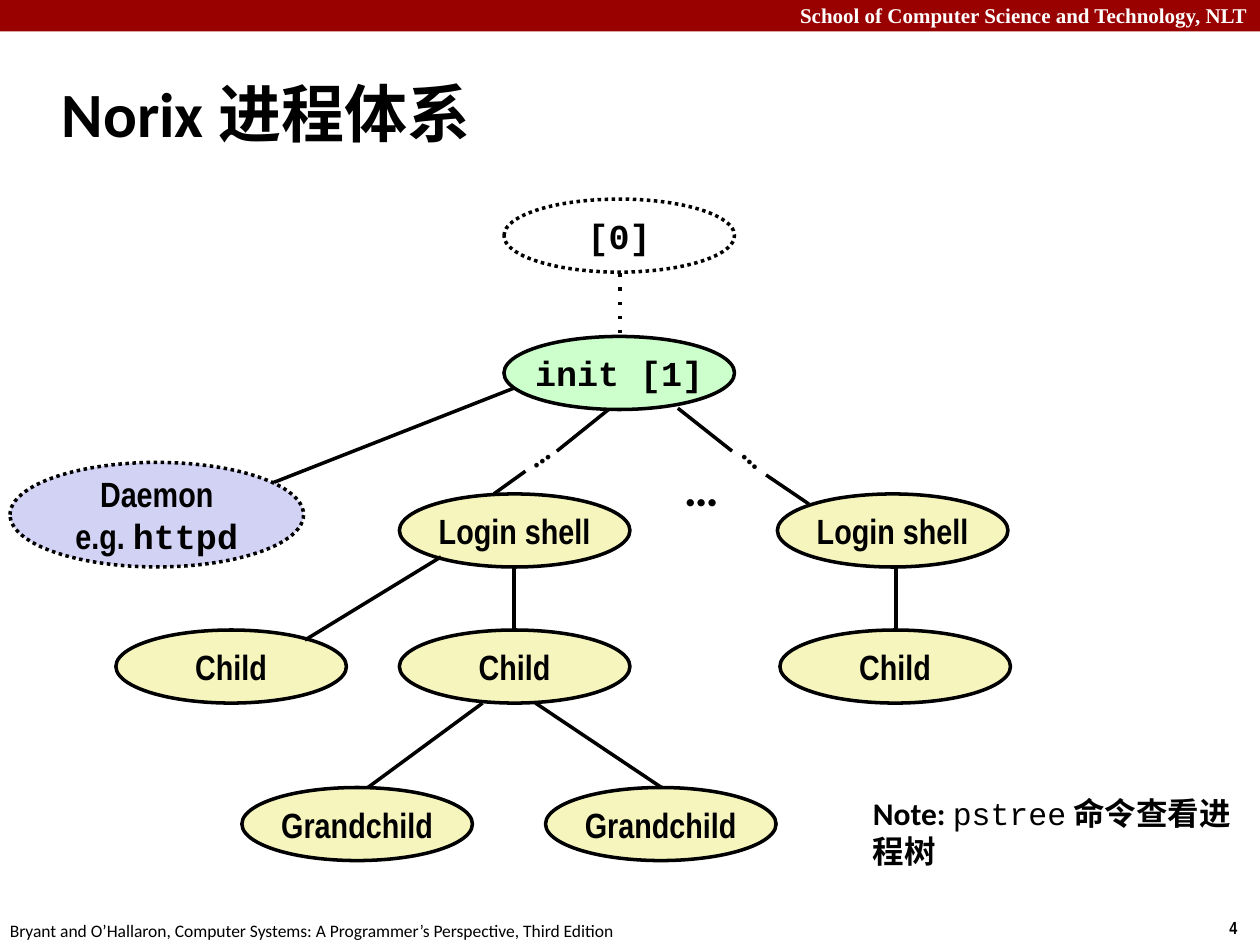
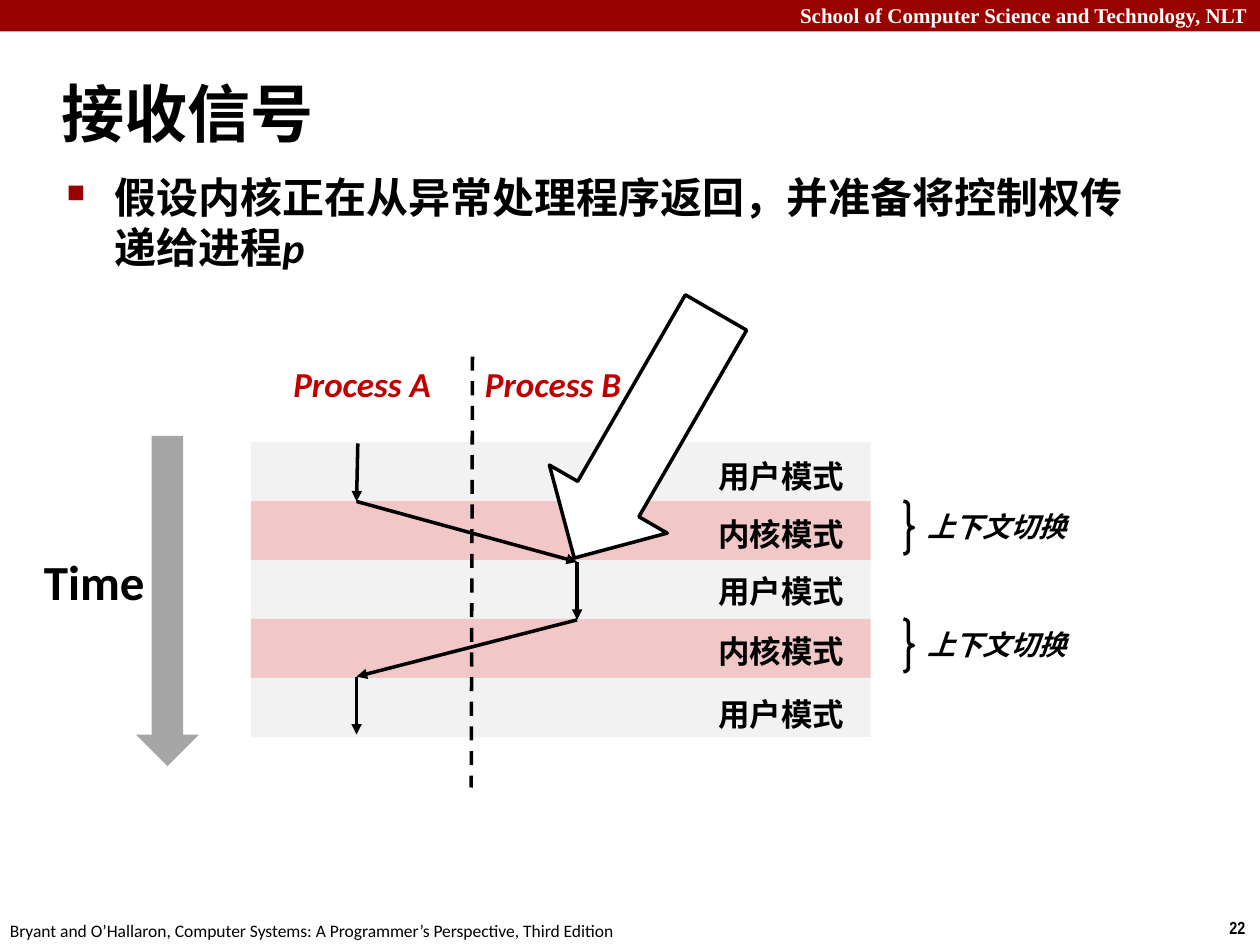
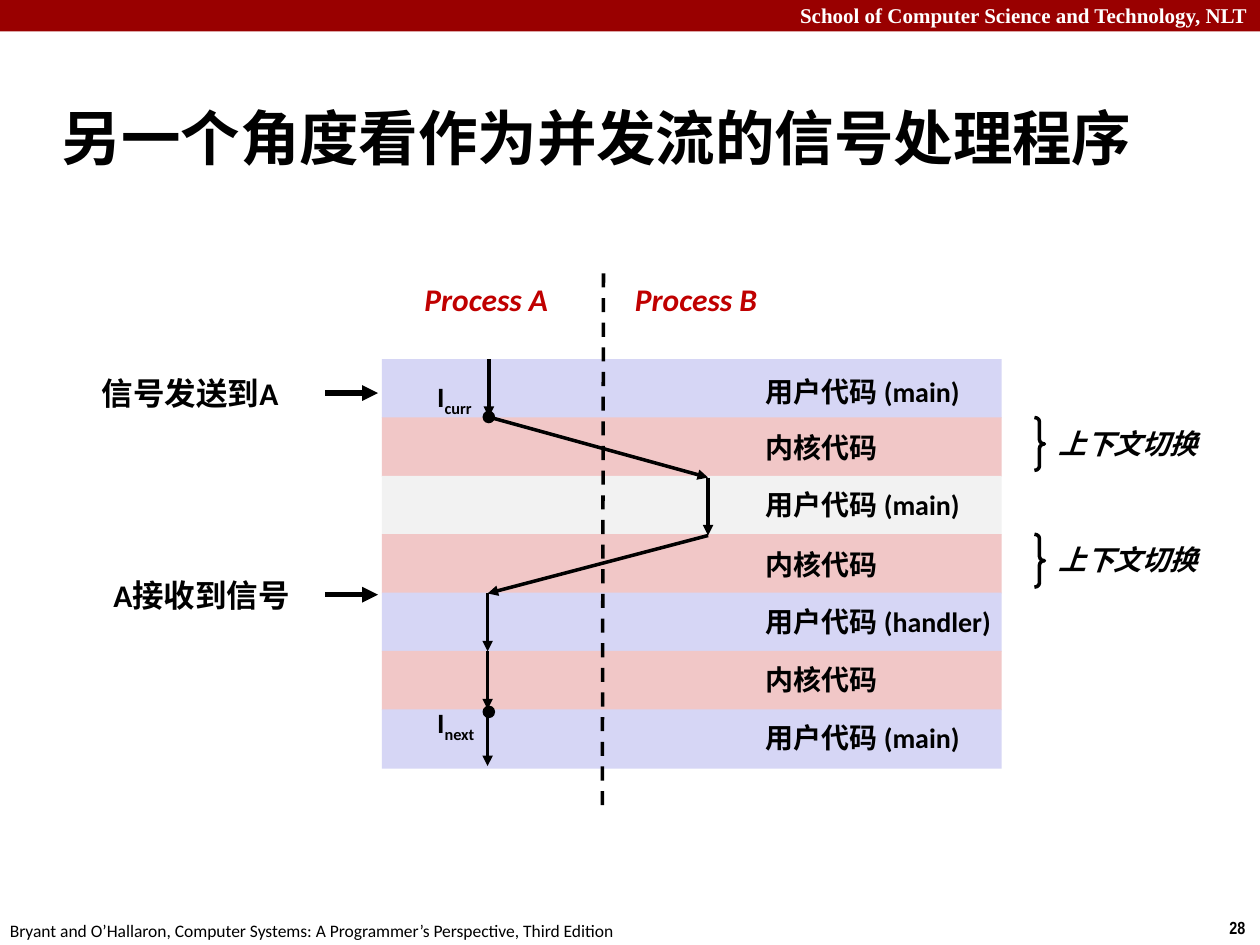
"""Build three lecture slides on processes and signals."""
from dataclasses import dataclass
from typing import Any, NamedTuple, Optional

from lxml.etree import SubElement as Sub
from pptx import Presentation
from pptx.dml.color import RGBColor as Rgb
from pptx.enum.shapes import MSO_CONNECTOR as Conn, MSO_SHAPE as Kind
from pptx.enum.text import MSO_ANCHOR as Anchor, MSO_AUTO_SIZE as Auto, PP_ALIGN as Align
from pptx.oxml.ns import qn
from pptx.slide import Slide
from pptx.util import Inches, Pt


@dataclass(frozen=True)
class Theme:
    """Colours, type faces and type sizes of the deck."""
    black: Rgb = Rgb(0, 0, 0)
    white: Rgb = Rgb(255, 255, 255)
    brand: Rgb = Rgb.from_string("990000")
    red: Rgb = Rgb.from_string("C00000")
    cream: Rgb = Rgb.from_string("F6F5BD")
    lilac: Rgb = Rgb.from_string("D2D2F4")
    green: Rgb = Rgb.from_string("CCFFCC")
    pink: Rgb = Rgb.from_string("F1C7C7")
    pale: Rgb = Rgb.from_string("F2F2F2")
    blue: Rgb = Rgb.from_string("D6D6F5")
    grey: Rgb = Rgb.from_string("A6A6A6")
    sans: str = "Calibri"
    slim: str = "Arial Narrow"
    code: str = "Courier New"
    serif: str = "Times New Roman"
    title: int = 36
    tight: int = 34
    big: int = 28
    body: int = 24
    node: int = 20
    note: int = 18
    small: int = 16
    head: int = 12
    foot: int = 10


T = Theme()


class Box(NamedTuple):
    """Left, top, width and height in inches."""
    x: float
    y: float
    w: float
    h: float


class Face(NamedTuple):
    """Format of a run of text."""
    size: int
    name: str = T.sans
    bold: bool = True
    slant: bool = False
    ink: Rgb = T.black
    base: int = 0


class Run(NamedTuple):
    """A piece of text in one face."""
    text: str
    face: Face


@dataclass(frozen=True)
class Label:
    """A text box."""
    box: Box
    runs: tuple[Run, ...]
    wrap: bool = False
    align: Align = Align.LEFT
    pad: float = 0.1
    turn: float = 0


@dataclass(frozen=True)
class Form:
    """A preset shape, with lines of text if it has any."""
    kind: Kind
    box: Box
    fill: Optional[Rgb] = None
    edge: bool = False
    dash: str = "solid"
    lines: tuple[tuple[Run, ...], ...] = ()
    tune: tuple[float, ...] = ()
    turn: float = 0


class Link(NamedTuple):
    """A straight line between two points."""
    x1: float
    y1: float
    x2: float
    y2: float
    dash: str = "solid"
    arrow: bool = False
    width: int = 2


class Band(NamedTuple):
    """A mode band and the top of its label."""
    text: str
    fill: Rgb
    y: float


@dataclass(frozen=True)
class Flow:
    """A two-process time chart."""
    left: float
    top: float
    last: float
    bands: tuple[Band, ...]
    tag: Box
    size: int
    heads: tuple[Label, ...]
    split: Link
    trace: tuple[tuple[float, float], ...]


def put(thing: Any, vals: dict[str, Any]) -> None:
    """Set each value on the thing."""
    for key, val in vals.items():
        setattr(thing, key, val)


def span(box: Box) -> tuple[int, ...]:
    """Turn a box into lengths."""
    return tuple(Inches(n) for n in box)


def fill_para(para: Any, runs: tuple[Run, ...], align: Align) -> None:
    """Write runs into a paragraph."""
    para.alignment = align
    for text, face in runs:
        run = para.add_run()
        run.text = text
        put(run.font, {"name": face.name, "size": Pt(face.size),
                       "bold": face.bold, "italic": face.slant})
        run.font.color.rgb = face.ink
        if face.base:
            run.font._element.set("baseline", str(face.base * 1000))


def stroke(line: Any, dash: str, width: int = 2, arrow: bool = False) -> None:
    """Style a black line."""
    line.color.rgb = T.black
    line.width = Pt(width)
    ln = line._get_or_add_ln()
    Sub(ln, qn("a:prstDash"), val=dash)
    if arrow:
        Sub(ln, qn("a:tailEnd"), type="triangle")


def add_label(slide: Slide, label: Label) -> Any:
    """Draw a text box."""
    shape = slide.shapes.add_textbox(*span(label.box))
    shape.rotation = label.turn
    put(shape.text_frame, {
        "word_wrap": label.wrap, "auto_size": Auto.SHAPE_TO_FIT_TEXT,
        "margin_left": Inches(label.pad), "margin_right": Inches(label.pad)})
    fill_para(shape.text_frame.paragraphs[0], label.runs, label.align)
    return shape


def add_form(slide: Slide, form: Form) -> Any:
    """Draw a preset shape."""
    shape = slide.shapes.add_shape(form.kind, *span(form.box))
    shape.shadow.inherit = False
    shape.rotation = form.turn
    for i, val in enumerate(form.tune):
        shape.adjustments[i] = val
    if form.fill is None:
        shape.fill.background()
    else:
        shape.fill.solid()
        shape.fill.fore_color.rgb = form.fill
    if form.edge:
        stroke(shape.line, form.dash)
    else:
        shape.line.fill.background()
    frame = shape.text_frame
    put(frame, {"word_wrap": False, "vertical_anchor": Anchor.MIDDLE})
    for i, runs in enumerate(form.lines):
        fill_para(frame.add_paragraph() if i else frame.paragraphs[0], runs, Align.CENTER)
    return shape


def add_link(slide: Slide, link: Link) -> None:
    """Draw a line or an arrow."""
    ends = (Inches(n) for n in link[:4])
    shape = slide.shapes.add_connector(Conn.STRAIGHT, *ends)
    stroke(shape.line, link.dash, link.width, link.arrow)
    Sub(shape.element.spPr, qn("a:effectLst"))


def plain(box: Box, text: str, face: Face, **more: Any) -> Label:
    """Make a label of one run."""
    return Label(box, (Run(text, face),), **more)


def brand(slide: Slide) -> None:
    """Put the band, school and book lines on the layout."""
    school = plain(Box(0, -0.03, 10, 0.3), "School of Computer Science and Technology, NLT",
                   Face(T.head, T.serif, ink=T.white), wrap=True, align=Align.RIGHT)
    book = plain(Box(-0.02, 7.25, 5.08, 0.27),
                 "Bryant and O’Hallaron, Computer Systems: A Programmer’s Perspective, Third Edition",
                 Face(T.foot, bold=False))
    parts = [add_form(slide, Form(Kind.RECTANGLE, Box(0, 0, 10, 0.25), T.brand)),
             add_label(slide, school), add_label(slide, book)]
    for part in parts:
        slide.slide_layout.shapes.element.append(part.element)


def start(deck: Any, text: str, page: int, box: Box = Box(0.39, 0.48, 8.3, 0.83),
          size: int = T.title) -> Slide:
    """Add a slide with its title and page number."""
    slide = deck.slides.add_slide(deck.slide_layouts[5])
    title = slide.shapes.title
    put(title, dict(zip(("left", "top", "width", "height"), span(box))))
    put(title.text_frame, {"vertical_anchor": Anchor.MIDDLE, "word_wrap": True,
                           "auto_size": Auto.NONE})
    fill_para(title.text_frame.paragraphs[0], (Run(text, Face(size)),), Align.LEFT)
    add_label(slide, plain(Box(9.66, 7.23, 0.34, 0.27), str(page), Face(T.foot, T.slim)))
    return slide


def node(x: float, y: float, text: str, fill: Rgb = T.cream, name: str = T.slim,
         dash: str = "solid") -> Form:
    """Make an oval of the process tree."""
    return Form(Kind.OVAL, Box(x, y, 1.83, 0.58), fill, True, dash,
                ((Run(text, Face(T.node, name)),),))


def draw_tree(slide: Slide) -> None:
    """Draw the process tree."""
    slim, mono = Face(T.node, T.slim), Face(T.node, T.code)
    kin = (node(3.17, 3.92, "Login shell"), node(6.17, 3.92, "Login shell"),
           node(0.92, 5, "Child"), node(3.17, 5, "Child"), node(6.19, 5, "Child"),
           node(1.92, 6.25, "Grandchild"), node(4.33, 6.25, "Grandchild"),
           node(4, 1.58, "[0]", T.white, T.code, "sysDot"))
    links = (Link(4.92, 2.17, 4.92, 2.67, "dot"), Link(4.08, 3.08, 2.17, 3.83),
             Link(4.83, 3.25, 4.42, 3.58), Link(4.17, 3.74, 3.92, 3.92),
             Link(5.38, 3.24, 5.81, 3.58), Link(6.08, 3.77, 6.42, 4),
             Link(3.5, 4.42, 2.42, 5.08), Link(4.08, 4.5, 4.08, 5),
             Link(7.11, 4.5, 7.11, 5), Link(3.83, 5.58, 2.92, 6.25),
             Link(4.25, 5.58, 5.25, 6.25))
    tops = (Form(Kind.OVAL, Box(0.08, 3.67, 2.33, 0.83), T.lilac, True, "sysDot",
                 ((Run("Daemon", slim),), (Run("e.g. ", slim), Run("httpd", mono)))),
            node(4, 2.67, "init [1]", T.green, T.code))
    note = Face(T.note)
    texts = (plain(Box(5.33, 3.58, 0.48, 0.57), "…", Face(T.big)),
             plain(Box(5.7, 3.53, 0.38, 0.4), "…", note, turn=223),
             plain(Box(4.16, 3.53, 0.38, 0.4), "…", note, turn=145),
             Label(Box(6.83, 6.25, 3.06, 0.71),
                   (Run("Note: ", note), Run("pstree", Face(T.note, T.code, False)),
                    Run(" 命令查看进程树", note)), wrap=True))
    for form in kin:
        add_form(slide, form)
    for link in links:
        add_link(slide, link)
    for form in tops:
        add_form(slide, form)
    for text in texts:
        add_label(slide, text)


def draw_flow(slide: Slide, flow: Flow) -> None:
    """Draw bands, labels, braces and the path of control."""
    step = (flow.last - flow.top) / (len(flow.bands) - 1)
    for i, band in enumerate(flow.bands):
        add_form(slide, Form(Kind.RECTANGLE, Box(flow.left, flow.top + i * step, 4.92, 0.47),
                             band.fill))
    for head in flow.heads:
        add_label(slide, head)
    add_link(slide, flow.split)
    for band in flow.bands:
        add_label(slide, plain(flow.tag._replace(y=band.y), band.text, Face(flow.size)))
    for i in (1, 3):
        y = flow.top + i * step
        add_form(slide, Form(Kind.RIGHT_BRACE, Box(flow.left + 5.18, y, 0.08, 0.42),
                             edge=True, tune=(0.42, 0.5)))
        add_label(slide, plain(Box(flow.left + 5.27, y + 0.02, 1.33, 0.37), "上下文切换",
                               Face(T.small, slant=True)))
    for a, b in zip(flow.trace, flow.trace[1:]):
        add_link(slide, Link(*a, *b, arrow=True))


def add_point(slide: Slide) -> None:
    """Write the bullet point."""
    face = Face(T.body)
    runs = (Run("假设内核正在从异常处理程序返回，并准备将控制权传递给进程", face),
            Run("p", face._replace(slant=True)))
    shape = add_label(slide, Label(Box(0.43, 1.31, 8.64, 1.19), runs, wrap=True))
    shape.text_frame.auto_size = Auto.NONE
    props = shape.text_frame.paragraphs[0]._p.get_or_add_pPr()
    for key, val in {"marL": 0.38, "indent": -0.38}.items():
        props.set(key, str(Inches(val)))
    Sub(Sub(props, qn("a:buClr")), qn("a:srgbClr"), val=str(T.brand))
    Sub(props, qn("a:buSzPct"), val="60000")
    Sub(props, qn("a:buChar"), char="■")


def draw_switch(slide: Slide) -> None:
    """Draw the switch from one process to the next."""
    add_point(slide)
    user, kern = "用户模式", "内核模式"
    head = Face(T.node, slant=True, ink=T.red)
    draw_flow(slide, Flow(
        1.99, 3.51, 5.38,
        (Band(user, T.pale, 3.58), Band(kern, T.pink, 4.04), Band(user, T.pale, 4.49),
         Band(kern, T.pink, 4.97), Band(user, T.pale, 5.47)),
        Box(5.6, 0, 1.22, 0.4), T.note,
        (plain(Box(2.23, 2.83, 1.3, 0.44), "Process A", head),
         plain(Box(3.75, 2.83, 1.29, 0.44), "Process B", head)),
        Link(3.75, 2.83, 3.74, 6.25, "dash"),
        ((2.84, 3.52), (2.83, 3.98), (4.58, 4.46), (4.58, 4.92), (2.83, 5.37), (2.83, 5.83))))
    add_label(slide, plain(Box(0.25, 4.33, 1.01, 0.57), "Time", Face(T.big)))
    add_form(slide, Form(Kind.DOWN_ARROW, Box(1.08, 3.46, 0.5, 2.62), T.grey))
    add_form(slide, Form(Kind.DOWN_ARROW, Box(4.58, 2.33, 1.08, 2.25), T.white, True,
                         tune=(0.52, 0.5), turn=30))


def draw_signal(slide: Slide) -> None:
    """Draw the signal handler as a flow of its own."""
    main, kern = "用户代码 (main)", "内核代码"
    head = Face(T.note, slant=True, ink=T.red)
    draw_flow(slide, Flow(
        3.03, 2.85, 5.63,
        (Band(main, T.blue, 2.92), Band(kern, T.pink, 3.37), Band(main, T.pale, 3.82),
         Band(kern, T.pink, 4.3), Band("用户代码 (handler)", T.blue, 4.75),
         Band(kern, T.pink, 5.21), Band(main, T.blue, 5.67)),
        Box(5.98, 0, 2.1, 0.37), T.small,
        (plain(Box(3.27, 2.17, 1.2, 0.4), "Process A", head),
         plain(Box(4.94, 2.17, 1.19, 0.4), "Process B", head)),
        Link(4.79, 2.17, 4.78, 6.47, "dash"),
        ((3.88, 2.85), (3.88, 3.31), (5.62, 3.79), (5.62, 4.25),
         (3.87, 4.71), (3.87, 5.17), (3.87, 5.63), (3.87, 6.08))))
    for box, text in ((Box(0.76, 2.92, 1.83, 0.4), "信号发送到A"),
                      (Box(0.85, 4.52, 1.52, 0.4), "A接收到信号")):
        add_label(slide, plain(box, text, Face(T.note), wrap=True, pad=0.05))
        y = box.y + 0.2
        add_link(slide, Link(2.58, y, 3, y, arrow=True, width=3))
    face = Face(T.small)
    for y, sub, dot in ((2.96, "curr", 3.26), (5.55, "next", 5.6)):
        runs = (Run("I", face), Run(sub, face._replace(base=-25)))
        add_label(slide, Label(Box(3.42, y, 0.42, 0.37), runs, pad=0.05))
        add_form(slide, Form(Kind.OVAL, Box(3.83, dot, 0.1, 0.1), T.black))


def main() -> None:
    """Build and save the deck."""
    deck = Presentation()
    put(deck, {"slide_width": Inches(10), "slide_height": Inches(7.5)})
    tree = start(deck, "Norix 进程体系", 4)
    brand(tree)
    draw_tree(tree)
    draw_switch(start(deck, "接收信号", 22))
    draw_signal(start(deck, "另一个角度看作为并发流的信号处理程序", 28,
                      Box(0.39, 0.67, 9.19, 0.83), T.tight))
    deck.save("out.pptx")


if __name__ == "__main__":
    main()
